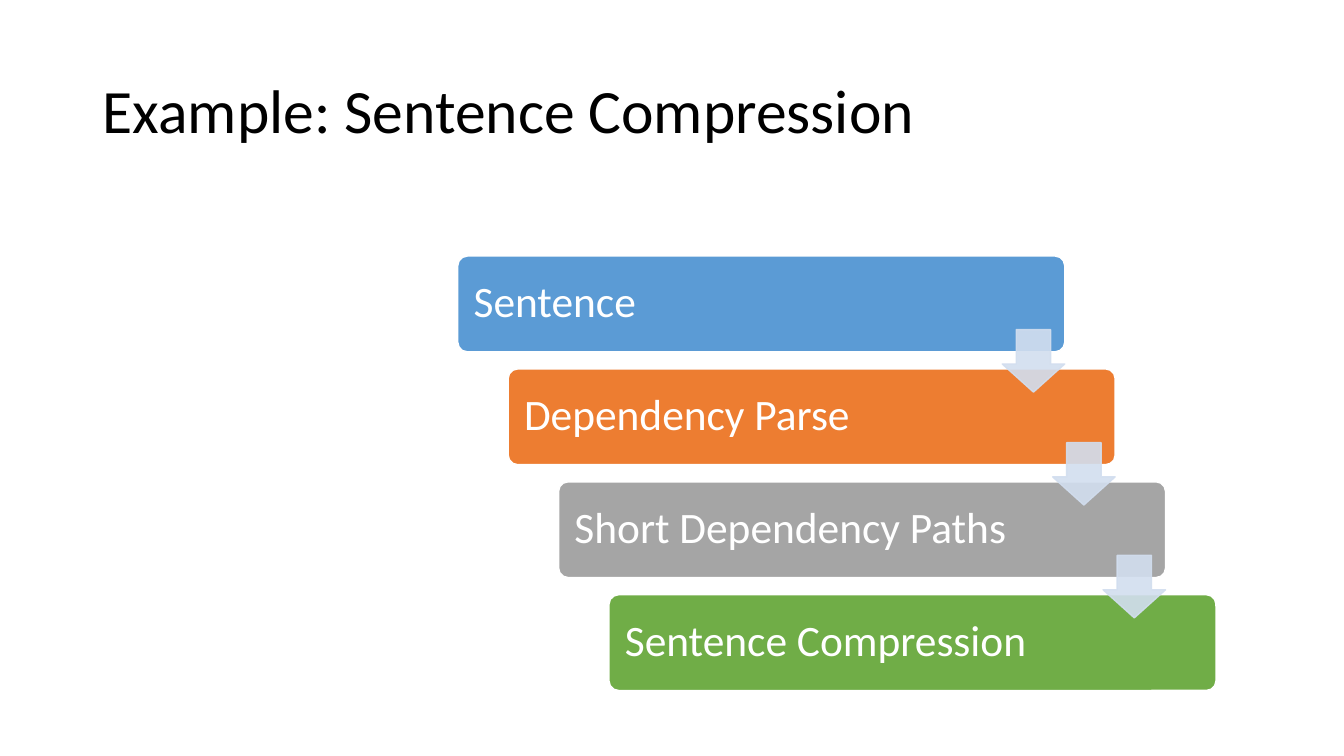
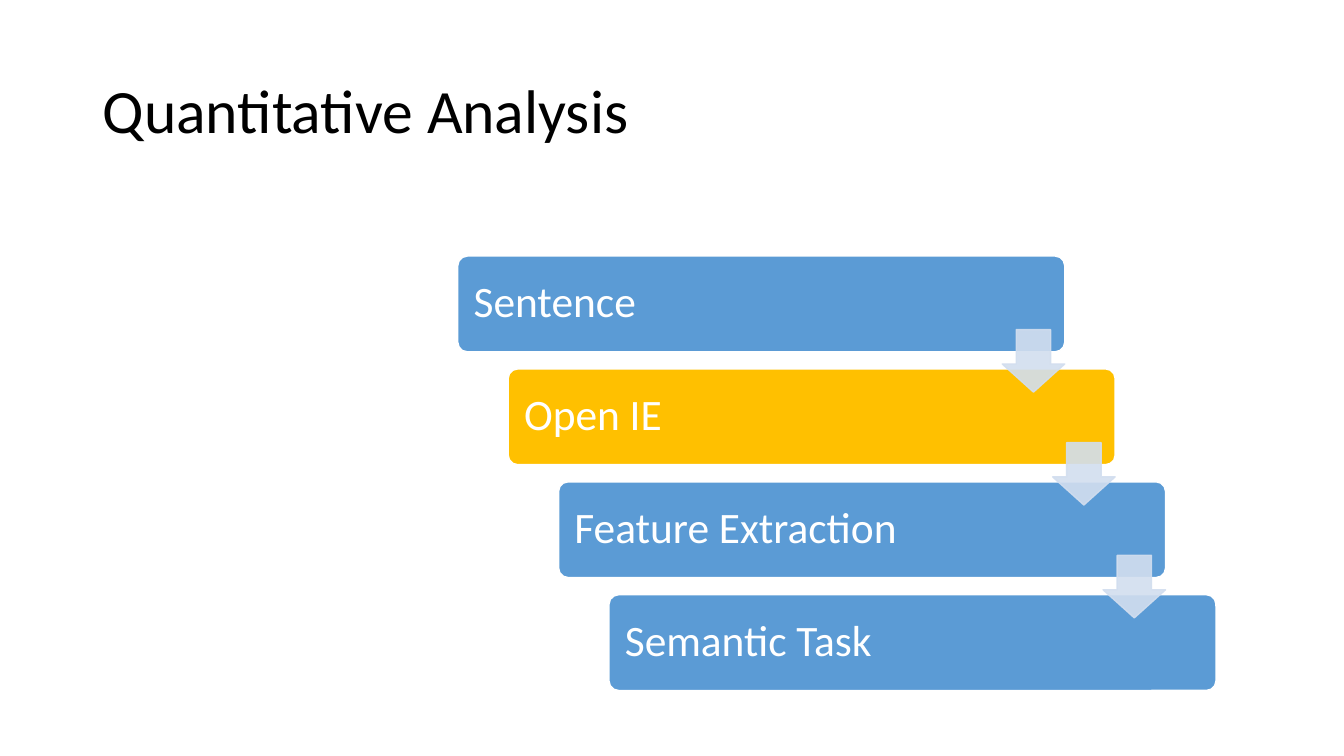
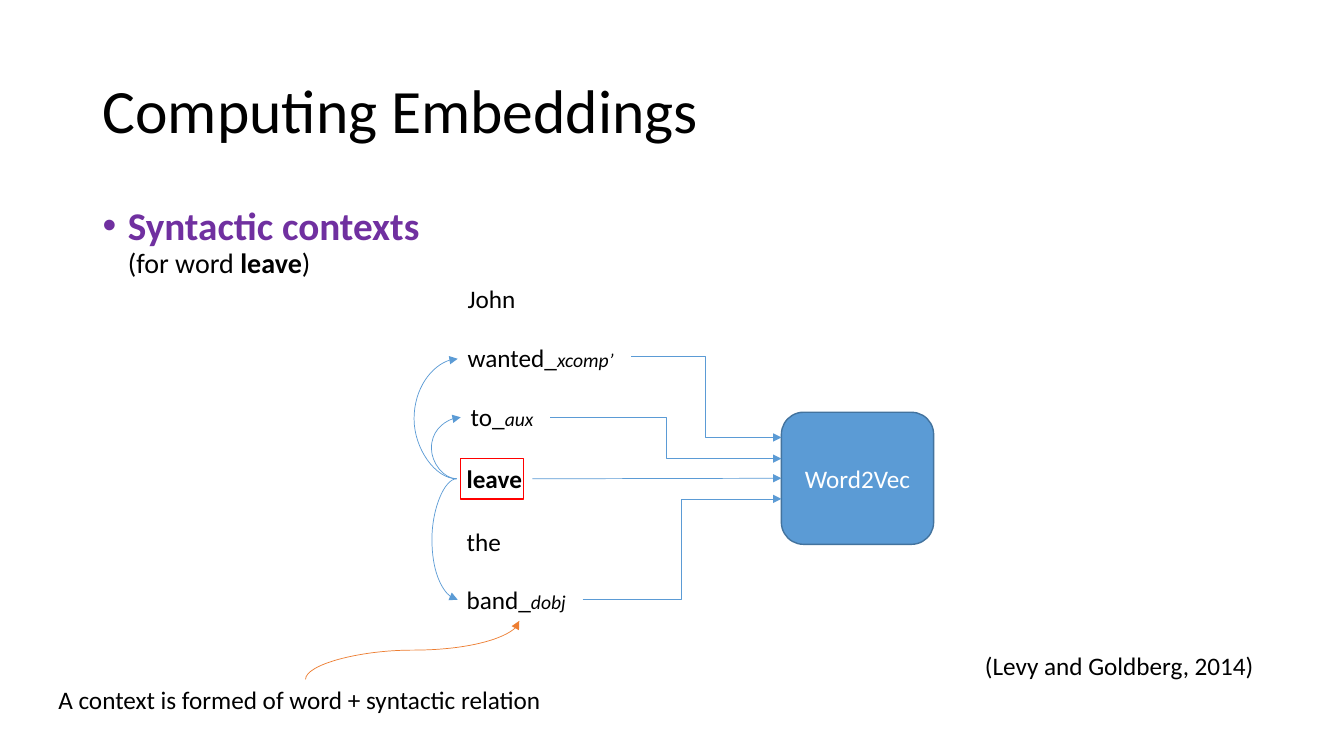
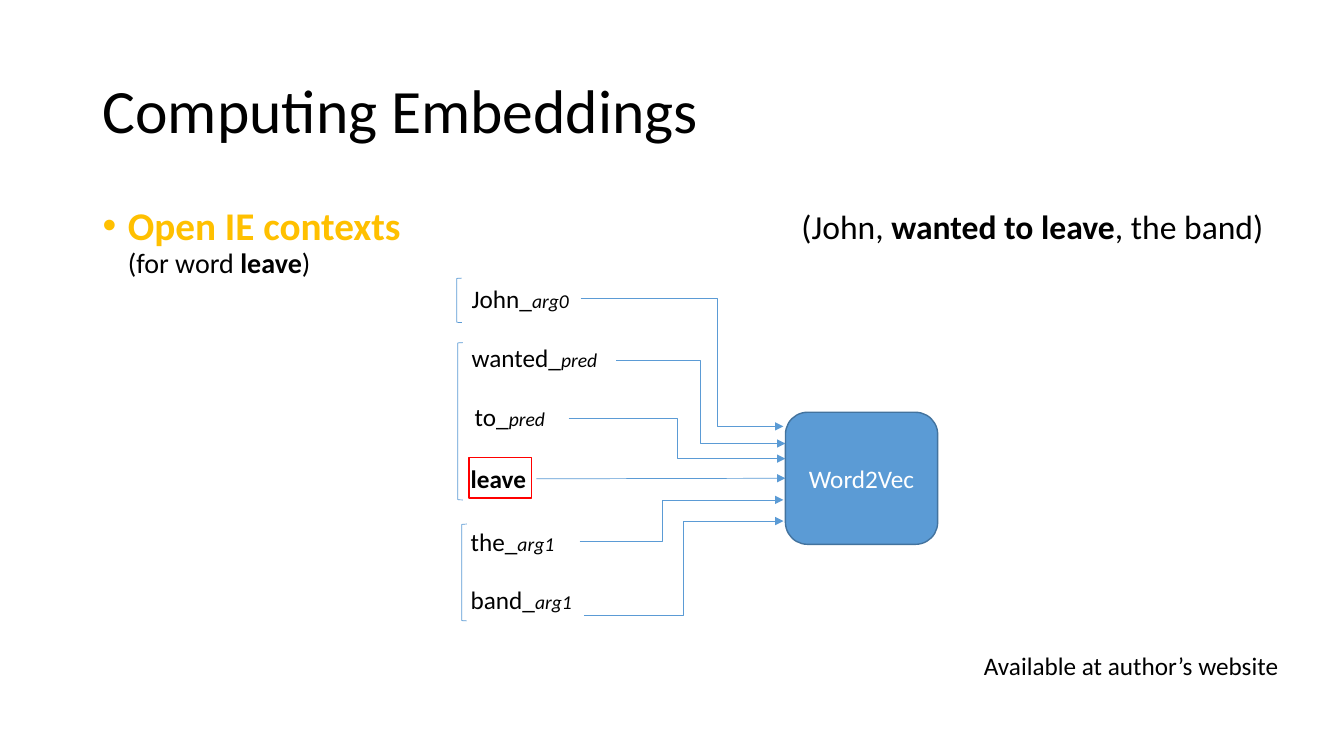
from dataclasses import dataclass

from lxml.etree import SubElement
from pptx import Presentation
from pptx.dml.color import RGBColor
from pptx.enum.shapes import MSO_CONNECTOR as Link, MSO_SHAPE as Shape
from pptx.enum.text import MSO_ANCHOR as Anchor, MSO_AUTO_SIZE as AutoSize, PP_ALIGN as Align
from pptx.oxml.ns import qn
from pptx.util import Inches, Pt


@dataclass(frozen=True)
class Theme:
    font: str = "Calibri"
    black: str = "000000"
    white: str = "FFFFFF"
    blue: str = "5B9BD5"
    dark_blue: str = "43739E"
    pale_blue: str = "D2DEEF"
    orange: str = "ED7D31"
    gray: str = "A5A5A5"
    green: str = "70AD47"
    gold: str = "FFC000"
    purple: str = "7030A0"
    red: str = "FF0000"
    title_size: int = 44
    step_size: int = 31
    heading_size: int = 28
    tuple_size: int = 24
    detail_size: int = 20
    text_size: int = 18
    relation_size: int = 14
    thin: float = 0.5
    outline: float = 1


THEME = Theme()
WORDS = ("John", "wanted", "to", "leave", "the", "band")
WORD_LEFTS = (4.54, 4.54, 4.57, 4.53, 4.53, 4.53)
WORD_TOPS = (2.76, 3.35, 3.93, 4.55, 5.17, 5.75)
FOCUS_WORD = "leave"


def inches(*lengths):
    return [Inches(length) for length in lengths]


def write(para, text, size=THEME.text_size, color=THEME.black, bold=False, italic=False):
    span = para.add_run()
    span.text = text
    span.font.name = THEME.font
    span.font.size = Pt(size)
    span.font.color.rgb = RGBColor.from_string(color)
    span.font.bold = bold
    span.font.italic = italic


def add_text_box(page, left, top, width, height, wrap=True, grow=False, anchor=Anchor.TOP):
    box = page.shapes.add_textbox(*inches(left, top, width, height))
    frame = box.text_frame
    frame.word_wrap = wrap
    frame.auto_size = AutoSize.SHAPE_TO_FIT_TEXT if grow else AutoSize.NONE
    frame.vertical_anchor = anchor
    return box


def add_note(page, text, left, top, width):
    box = add_text_box(page, left, top, width, 0.4, grow=True)
    write(box.text_frame.paragraphs[0], text)


def add_title(page, text):
    box = add_text_box(page, 0.92, 0.4, 11.5, 1.45, anchor=Anchor.MIDDLE)
    para = box.text_frame.paragraphs[0]
    para.line_spacing = 0.9
    write(para, text, size=THEME.title_size)


def add_heading(page, text, color):
    box = add_text_box(page, 0.92, 2, 11.5, 4.76)
    para = box.text_frame.paragraphs[0]
    para.line_spacing = 0.9
    para.space_before = Pt(10)
    properties = para._p.get_or_add_pPr()
    properties.set("marL", str(Inches(0.25)))
    properties.set("indent", str(Inches(-0.25)))
    SubElement(properties, qn("a:buFont"), typeface="Arial")
    SubElement(properties, qn("a:buChar"), char="•")
    write(para, text, size=THEME.heading_size, color=color, bold=True)
    para.add_line_break()
    write(para, "(for word ", size=THEME.detail_size)
    write(para, FOCUS_WORD, size=THEME.detail_size, bold=True)
    write(para, ")", size=THEME.detail_size)


def add_box(page, kind, place, line, fill=None, weight=THEME.outline, adjustments=()):
    box = page.shapes.add_shape(kind, *inches(*place))
    box.shadow.inherit = False
    if fill:
        box.fill.solid()
        box.fill.fore_color.rgb = RGBColor.from_string(fill)
    else:
        box.fill.background()
    box.line.color.rgb = RGBColor.from_string(line)
    box.line.width = Pt(weight)
    for index, value in enumerate(adjustments):
        box.adjustments[index] = value
    return box


def set_opacity(box, percent):
    for color in box._element.spPr.iter(qn("a:srgbClr")):
        SubElement(color, qn("a:alpha"), val=str(percent * 1000))


def add_arrow(page, kind, start, end, via_x=None, color=THEME.blue):
    arrow = page.shapes.add_connector(kind, *inches(*start, *end))
    arrow.line.color.rgb = RGBColor.from_string(color)
    arrow.line.width = Pt(THEME.thin)
    SubElement(arrow.line._get_or_add_ln(), qn("a:tailEnd"), type="triangle")
    properties = arrow._element.spPr
    SubElement(properties, qn("a:effectLst"))
    if via_x is not None:
        bend = round((via_x - start[0]) / (end[0] - start[0]) * 100000)
        guides = properties.find(qn("a:prstGeom")).get_or_add_avLst()
        SubElement(guides, qn("a:gd"), name="adj1", fmla=f"val {bend}")
    return arrow


def add_rising_curve(page, start, end, color):
    middle_x, middle_y = [(a + b) / 2 for a, b in zip(start, end)]

    def turn_back(point):
        return middle_x + point[1] - middle_y, middle_y - point[0] + middle_x

    curve = add_arrow(page, Link.CURVE, turn_back(start), turn_back(end), color=color)
    curve._element.spPr.find(qn("a:xfrm")).set("rot", str(90 * 60000))


def add_staircase(page, steps):
    for index, (text, color) in enumerate(steps):
        place = (4.54 + 0.5 * index, 2.54 + 1.12 * index, 6.02, 0.95)
        step = add_box(page, Shape.ROUNDED_RECTANGLE, place, THEME.white, color, adjustments=[0.1])
        frame = step.text_frame
        frame.word_wrap = True
        frame.vertical_anchor = Anchor.MIDDLE
        frame.margin_left = frame.margin_right = Inches(0.13)
        para = frame.paragraphs[0]
        para.alignment = Align.LEFT
        para.line_spacing = 0.9
        write(para, text, size=THEME.step_size, color=THEME.white)
    for index in range(len(steps) - 1):
        place = (9.94 + 0.5 * index, 3.27 + 1.12 * index, 0.62, 0.62)
        arrow = add_box(page, Shape.DOWN_ARROW, place, THEME.pale_blue, THEME.pale_blue,
                        adjustments=[0.55, 0.45])
        set_opacity(arrow, 90)


def add_word(page, word, relation, left, top, width):
    box = add_text_box(page, left, top, width, 0.4, wrap=False, grow=True)
    para = box.text_frame.paragraphs[0]
    write(para, f"{word}_" if relation else word, bold=word == FOCUS_WORD)
    if relation:
        write(para, relation, size=THEME.relation_size, italic=True)
    return box


def add_network(page, relations, widths, shift=0):
    boxes = {}
    for word, relation, left, top, width in zip(WORDS, relations, WORD_LEFTS, WORD_TOPS, widths):
        boxes[word] = add_word(page, word, relation, left + shift, top, width)
    model = add_box(page, Shape.ROUNDED_RECTANGLE, (7.75 + shift, 4.09, 1.51, 1.31),
                    THEME.dark_blue, THEME.blue)
    model.text_frame.vertical_anchor = Anchor.MIDDLE
    para = model.text_frame.paragraphs[0]
    para.alignment = Align.CENTER
    write(para, "Word2Vec", color=THEME.white)
    arrow = add_arrow(page, Link.STRAIGHT, (5.28 + shift, 4.75), (7.75 + shift, 4.75))
    arrow.begin_connect(boxes[FOCUS_WORD], 3)
    arrow.end_connect(model, 1)


def add_arrows(page, kind, routes):
    for start, end, via_x in routes:
        add_arrow(page, kind, start, end, via_x)


def add_focus_frame(page, left, top):
    add_box(page, Shape.RECTANGLE, (left, top, 0.62, 0.4), THEME.red)


def build_syntactic_contexts(page):
    add_heading(page, "Syntactic contexts", THEME.purple)
    add_note(page, "(Levy and Goldberg, 2014)", 9.67, 6.4, 3.11)
    add_network(page, ("", "xcomp’", "aux", "", "", "dobj"),
                (0.74, 1.65, 0.82, 0.75, 0.6, 1.24))
    add_arrows(page, Link.ELBOW, [
        ((6.26, 3.54), (7.75, 4.34), 7),
        ((5.46, 4.14), (7.75, 4.55), 6.61),
        ((5.78, 5.95), (7.75, 4.95), 6.76),
    ])
    focus = (4.53, 4.75)
    add_arrows(page, Link.CURVE, [
        (focus, (4.57, 4.14), 4.28),
        (focus, (4.54, 5.95), 4.28),
        (focus, (4.54, 3.56), 4.1),
    ])
    add_focus_frame(page, 4.57, 4.55)
    add_note(page, "A context is formed of word + syntactic relation", 0.48, 6.74, 5.1)
    add_rising_curve(page, (3.03, 6.74), (5.15, 6.16), THEME.orange)


def build_open_contexts(page):
    add_heading(page, "Open IE contexts", THEME.gold)
    add_network(page, ("arg0", "pred", "pred", "", "arg1", "arg1"),
                (1.18, 1.45, 0.91, 0.75, 1.04, 1.22), shift=0.04)
    for left, top, height in ((4.53, 2.76, 0.44), (4.54, 3.4, 1.56), (4.58, 5.2, 0.96)):
        add_box(page, Shape.LEFT_BRACKET, (left, top, 0.05, height), THEME.blue, weight=THEME.thin)
    add_arrows(page, Link.ELBOW, [
        ((5.76, 2.96), (7.77, 4.23), 7.11),
        ((6.11, 3.58), (7.79, 4.4), 6.95),
        ((5.64, 4.15), (7.79, 4.55), 6.72),
        ((5.75, 5.37), (7.77, 4.96), 6.57),
        ((5.79, 6.11), (7.77, 5.17), 6.78),
    ])
    add_note(page, "Available at author’s website", 9.66, 6.4, 3.33)
    box = add_text_box(page, 5.96, 1.99, 6.67, 0.58)
    para = box.text_frame.paragraphs[0]
    para.alignment = Align.RIGHT
    write(para, "(John, ", size=THEME.tuple_size)
    write(para, "wanted to leave", size=THEME.tuple_size, bold=True)
    write(para, ", the band)", size=THEME.tuple_size)
    add_focus_frame(page, 4.65, 4.54)


def main():
    deck = Presentation()
    deck.slide_width, deck.slide_height = inches(13.33, 7.5)
    blank = deck.slide_layouts[6]

    def new_page(title):
        page = deck.slides.add_slide(blank)
        add_title(page, title)
        return page

    add_staircase(new_page("Example: Sentence Compression"), [
        ("Sentence", THEME.blue),
        ("Dependency Parse", THEME.orange),
        ("Short Dependency Paths", THEME.gray),
        ("Sentence Compression", THEME.green),
    ])
    add_staircase(new_page("Quantitative Analysis"), [
        ("Sentence", THEME.blue),
        ("Open IE", THEME.gold),
        ("Feature Extraction", THEME.blue),
        ("Semantic Task", THEME.blue),
    ])
    build_syntactic_contexts(new_page("Computing Embeddings"))
    build_open_contexts(new_page("Computing Embeddings"))
    deck.save("out.pptx")


if __name__ == "__main__":
    main()
